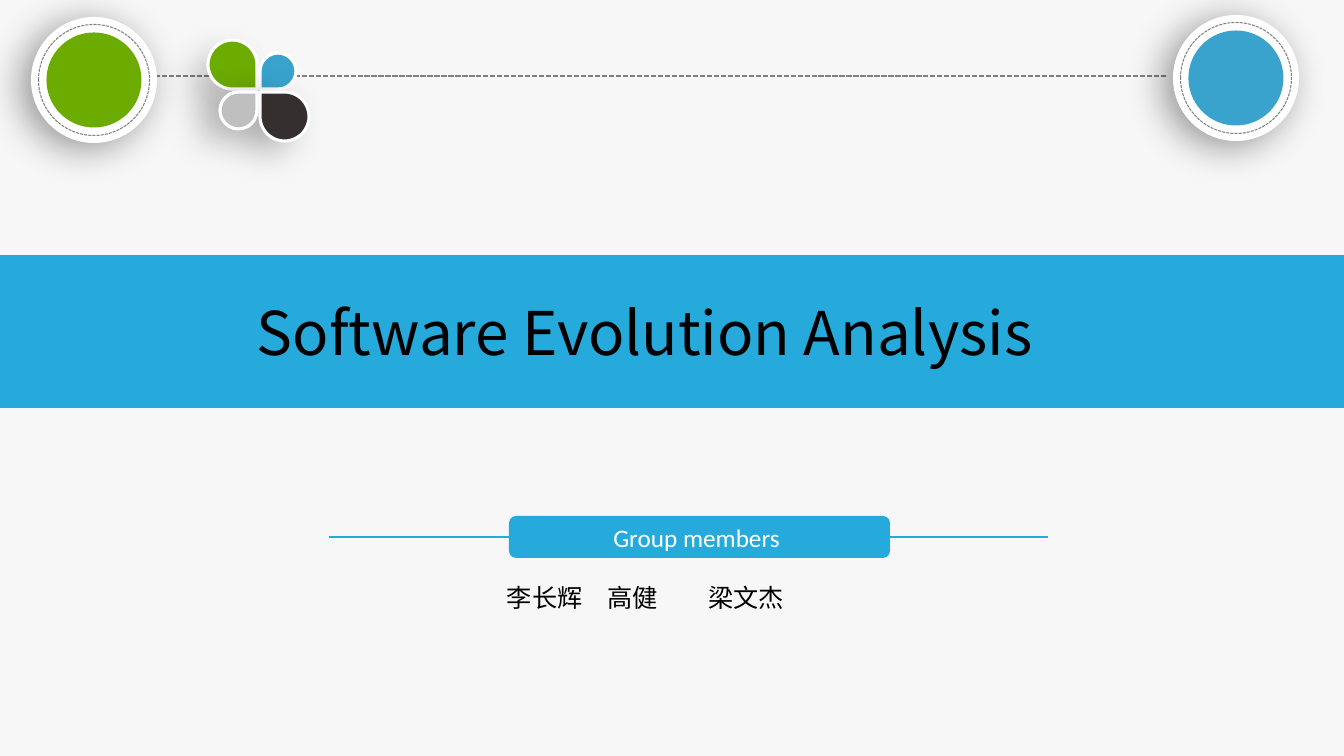
from lxml.etree import SubElement
from pptx import Presentation
from pptx.dml.color import RGBColor
from pptx.enum.dml import MSO_LINE
from pptx.enum.shapes import MSO_CONNECTOR, MSO_SHAPE
from pptx.enum.text import MSO_ANCHOR, PP_ALIGN
from pptx.oxml.ns import qn
from pptx.util import Pt

# Content
TITLE = "Software Evolution Analysis"
LABEL = "Group members "
MEMBERS = ["李长辉", "高健", "梁文杰"]
MEMBER_TABS = [117, 212]  # px from the start of the text

# Look
SCALE = 9144000 / 1008  # EMU per px
CJK_FONT, LABEL_FONT = "Noto Sans CJK SC", "Calibri"
BACKGROUND = RGBColor(0xF7, 0xF7, 0xF7)
BAND_BLUE = RGBColor(0x26, 0xAA, 0xDC)
BLUE = RGBColor(0x39, 0xA3, 0xCD)
GREEN = RGBColor(0x6C, 0xAC, 0x00)
DARK = RGBColor(0x35, 0x2F, 0x2F)
SILVER = RGBColor(0xBF, 0xBF, 0xBF)
GREY = RGBColor(0x80, 0x80, 0x80)
WHITE = RGBColor(0xFF, 0xFF, 0xFF)
BLACK = RGBColor(0x00, 0x00, 0x00)

# Badges: centre x, centre y, colour
BADGES = [(94, 80, GREEN), (1236, 78, BLUE)]
BADGE_SHADOW = (40, 28, 8, 150)  # opacity %, blur pt, distance pt, angle

# Petals: left, top, size, rotation, colour, shadow
PETALS = [
    (208, 40, 49, 90, GREEN, (23, 26, 15, 130)),
    (260, 53, 36, 180, BLUE, None),
    (260, 92, 49, 270, DARK, (31, 26, 15, 160)),
    (220, 92, 37, 0, SILVER, (28, 26, 15, 150)),
]


def px(length):
    return round(length * SCALE)


def add_shadow(shape, opacity, blur, distance, angle):
    effects = shape._element.spPr.find(qn("a:effectLst"))
    shadow = SubElement(effects, qn("a:outerShdw"), blurRad=str(Pt(blur)), dist=str(Pt(distance)),
                        dir=str(angle * 60000), algn="ctr", rotWithShape="0")
    color = SubElement(shadow, qn("a:srgbClr"), val="000000")
    SubElement(color, qn("a:alpha"), val=str(opacity * 1000))


def add_shape(kind, left, top, width, height, fill=None, line=None, line_width=0.75, shadow=None):
    shape = slide.shapes.add_shape(kind, px(left), px(top), px(width), px(height))
    shape.shadow.inherit = False
    if fill is None:
        shape.fill.background()
    else:
        shape.fill.solid()
        shape.fill.fore_color.rgb = fill
    if line is None:
        shape.line.fill.background()
    else:
        shape.line.color.rgb = line
        shape.line.width = Pt(line_width)
    if shadow:
        add_shadow(shape, *shadow)
    return shape


def add_line(left, right, y, color, width, dash=None):
    line = slide.shapes.add_connector(MSO_CONNECTOR.STRAIGHT, px(left), px(y), px(right), px(y))
    line.line.color.rgb = color
    line.line.width = Pt(width)
    if dash:
        line.line.dash_style = dash
    SubElement(line._element.spPr, qn("a:effectLst"))


def set_text(shape, text, size, font, color, align, anchor):
    frame = shape.text_frame
    frame.text = text
    frame.word_wrap = True
    frame.vertical_anchor = anchor
    frame.margin_left = frame.margin_right = frame.margin_top = frame.margin_bottom = px(7)
    paragraph = frame.paragraphs[0]
    paragraph.alignment = align
    paragraph.space_before = Pt(0)
    for run in paragraph.runs:
        run.font.size = Pt(size)
        run.font.name = font
        run.font.color.rgb = color
        SubElement(run.font._element, qn("a:ea"), typeface=font)
    return paragraph


def place(placeholder, left, top, width, height):
    placeholder.left, placeholder.top = px(left), px(top)
    placeholder.width, placeholder.height = px(width), px(height)
    slide.shapes._spTree.append(placeholder._element)  # bring to front


presentation = Presentation()
presentation.slide_width, presentation.slide_height = px(1344), px(756)
slide = presentation.slides.add_slide(presentation.slide_layouts[0])
slide.background.fill.solid()
slide.background.fill.fore_color.rgb = BACKGROUND
title, members = slide.placeholders

# Title band
add_shape(MSO_SHAPE.RECTANGLE, 0, 255, 1344, 153, BAND_BLUE)
place(title, 250, 288, 806, 92)
set_text(title, TITLE, 43, CJK_FONT, BLACK, PP_ALIGN.LEFT, MSO_ANCHOR.TOP)

# Group members
add_line(329, 1048, 537, BAND_BLUE, 1.5)
pill = add_shape(MSO_SHAPE.ROUNDED_RECTANGLE, 509, 516, 381, 42, BAND_BLUE)
set_text(pill, LABEL, 18, LABEL_FONT, WHITE, PP_ALIGN.CENTER, MSO_ANCHOR.MIDDLE)
place(members, 500, 575, 308, 47)
paragraph = set_text(members, "\t".join(MEMBERS), 18, CJK_FONT, BLACK, PP_ALIGN.LEFT, MSO_ANCHOR.TOP)
tab_list = SubElement(paragraph._p.get_or_add_pPr(), qn("a:tabLst"))
for position in MEMBER_TABS:
    SubElement(tab_list, qn("a:tab"), pos=str(px(position)), algn="l")

# Badges joined by a dashed line
add_line(155, 1167, 76, GREY, 1.25, MSO_LINE.SQUARE_DOT)
for center_x, center_y, color in BADGES:
    for size, fill, line, shadow in [(126, WHITE, None, BADGE_SHADOW), (95, color, None, None),
                                     (111, None, GREY, None)]:
        circle = add_shape(MSO_SHAPE.OVAL, center_x - size / 2, center_y - size / 2, size, size,
                           fill, line, shadow=shadow)
        if line is not None:
            circle.line.dash_style = MSO_LINE.SQUARE_DOT

# Petals
for left, top, size, rotation, color, shadow in PETALS:
    petal = add_shape(MSO_SHAPE.TEAR, left, top, size, size, color, WHITE, 2.25, shadow)
    petal.rotation = rotation

presentation.save("out.pptx")
